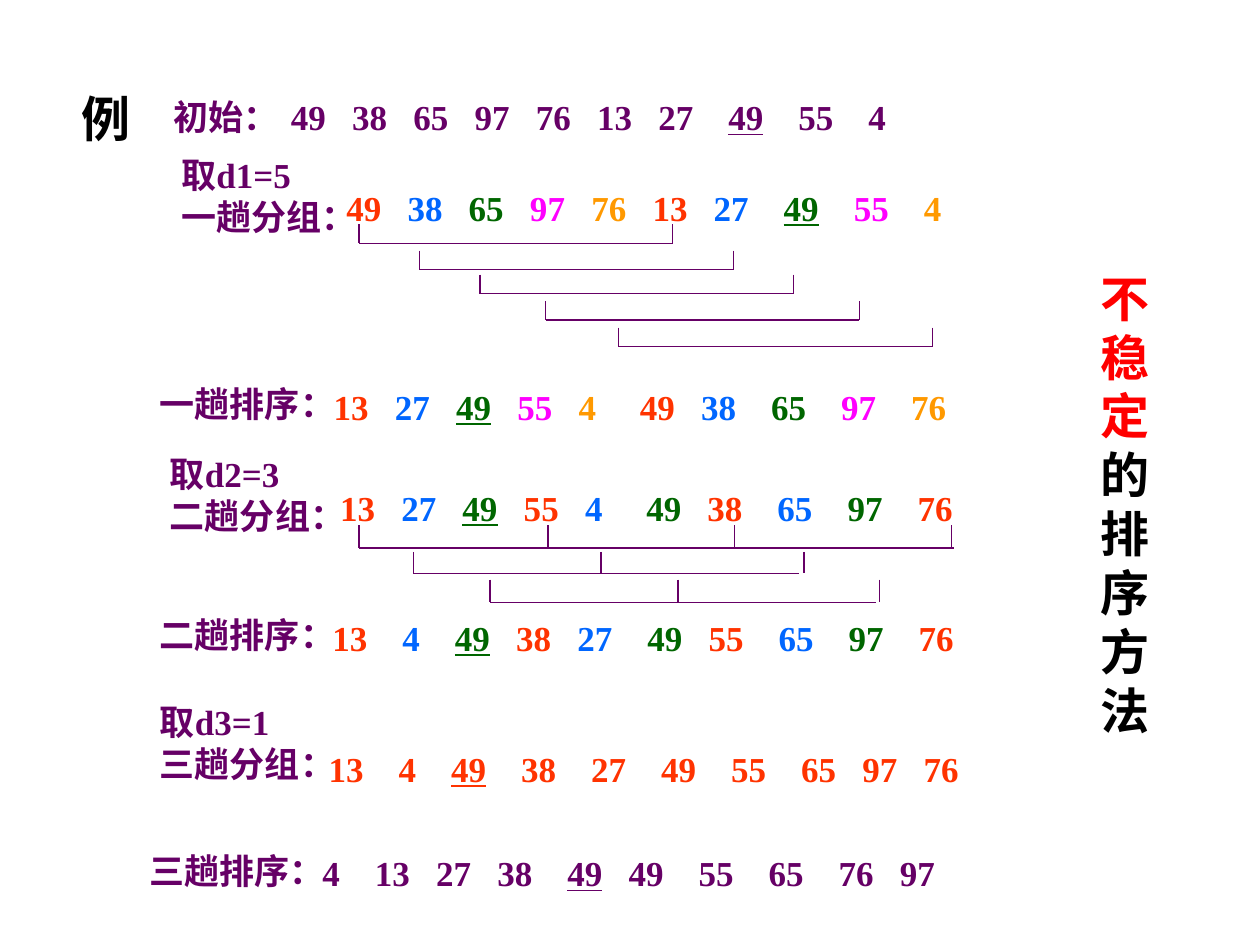
"""Build a slide that traces Shell sort through three passes."""
from itertools import accumulate

from lxml.etree import SubElement as Sub
from pptx import Presentation
from pptx.dml.color import RGBColor as RGB
from pptx.enum.shapes import MSO_CONNECTOR as Link
from pptx.enum.text import PP_ALIGN as Align
from pptx.oxml.ns import qn
from pptx.util import Inches, Pt

HUES = {"plum": "660066", "red": "FF3300", "blue": "0066FF", "green": "006600",
        "pink": "FF00FF", "gold": "FF9900", "alert": "FF0000", "black": "000000"}
CYCLE = ["red", "blue", "green", "pink", "gold"]
SIZE = 20

deck = Presentation()
deck.slide_width, deck.slide_height = Inches(10), Inches(7.5)
slide = deck.slides.add_slide(deck.slide_layouts[6])


def box(left, top, width, height, wrap=True):
    shape = slide.shapes.add_textbox(Inches(left), Inches(top), Inches(width), Inches(height))
    shape.text_frame.word_wrap = wrap
    return shape.text_frame


def write(para, text, size=SIZE, hue="plum", under=False):
    run = para.add_run()
    run.text = text
    run.font.name = "Times New Roman"
    run.font.size = Pt(size)
    run.font.bold = True
    run.font.underline = under
    run.font.color.rgb = RGB.from_string(HUES[hue])


labels = [
    (1.28, 0.71, ["初始："]),
    (1.34, 1.17, ["取d1=5", "一趟分组："]),
    (1.17, 2.99, ["一趟排序："]),
    (1.25, 3.54, ["取d2=3", "二趟分组："]),
    (1.17, 4.82, ["二趟排序："]),
    (1.17, 5.51, ["取d3=1", "三趟分组："]),
    (1.09, 6.69, ["三趟排序："]),
]
for left, top, lines in labels:
    frame = box(left, top, 1.65, 0.11 + 0.33 * len(lines))
    for i, line in enumerate(lines):
        para = frame.add_paragraph() if i else frame.paragraphs[0]
        write(para, line)

# Each row: left, top, numbers, gaps in spaces, marked index, hues
rows = [
    (2.21, 0.71, "49 38 65 97 76 13 27 49 55 4", "333333444", 7, ["plum"]),
    (2.65, 1.43, "49 38 65 97 76 13 27 49 55 4", "333333444", 7, CYCLE),
    (2.55, 3.01, "13 27 49 55 4 49 38 65 97 76", "333353444", 2, CYCLE),
    (2.6, 3.81, "13 27 49 55 4 49 38 65 97 76", "333353444", 2, CYCLE[:3]),
    (2.54, 4.84, "13 4 49 38 27 49 55 65 97 76", "443343444", 2, CYCLE[:3]),
    (2.51, 5.88, "13 4 49 38 27 49 55 65 97 76", "444444433", 2, CYCLE[:1]),
    (2.46, 6.71, "4 13 27 38 49 49 55 65 76 97", "433434443", 4, ["plum"]),
]
for left, top, text, gaps, mark, hues in rows:
    nums = text.split()
    steps = [len(n) * SIZE / 2 + int(g) * SIZE / 4 for n, g in zip(nums, gaps)]
    stops = list(accumulate(steps))
    width = (stops[-1] + len(nums[-1]) * SIZE / 2) / 72 + 0.21
    para = box(left, top, width, 0.44, wrap=False).paragraphs[0]
    tabs = Sub(para._p.get_or_add_pPr(), qn("a:tabLst"))
    for stop in stops:
        Sub(tabs, qn("a:tab"), pos=str(Pt(stop)), algn="l")
    for i, num in enumerate(nums):
        if i:
            write(para, "\t")
        write(para, num, hue=hues[i % len(hues)], under=i == mark)

combs = [(low - 0.15, low, [left, left + 2.49], left + 2.49) for left, low in
         [(2.85, 1.93), (3.33, 2.14), (3.81, 2.33), (4.33, 2.54), (4.91, 2.75)]]
combs += [
    (4.17, 4.35, [2.85, 4.35, 5.83, 7.55], 7.57),
    (4.38, 4.55, [3.28, 4.77, 6.38], 6.34),
    (4.6, 4.78, [3.89, 5.38, 6.98], 6.95),
]
for top, low, teeth, end in combs:
    spans = [(x, top, x, low) for x in teeth] + [(teeth[0], low, end, low)]
    for span in spans:
        wire = slide.shapes.add_connector(Link.STRAIGHT, *map(Inches, span))
        wire.line.color.rgb = RGB.from_string(HUES["plum"])
        wire.line.width = Pt(0.75)
        Sub(wire._element.spPr, qn("a:effectLst"))

write(box(0.55, 0.65, 0.59, 0.57, wrap=False).paragraphs[0], "例", size=28, hue="black")

para = box(8.58, 2.08, 0.7, 3.84).paragraphs[0]
para.alignment = Align.CENTER
write(para, "不稳定", size=28, hue="alert")
write(para, "的排序方法", size=28, hue="black")

deck.save("out.pptx")
